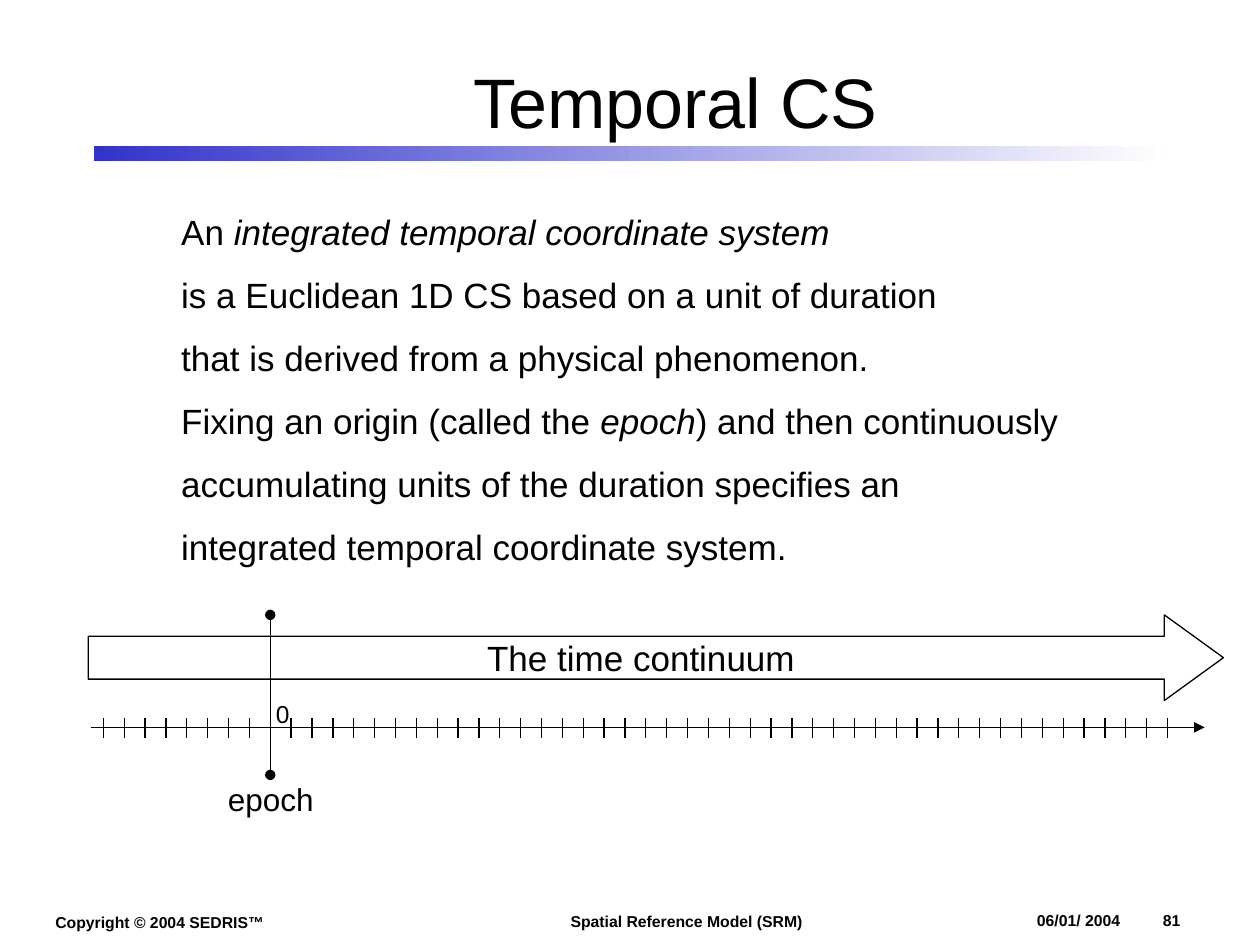
from dataclasses import dataclass

from lxml import etree
from pptx import Presentation
from pptx import util as u
from pptx.dml.color import RGBColor
from pptx.enum import shapes, text
from pptx.oxml.ns import qn

BLACK = RGBColor(0x00, 0x00, 0x00)
WHITE = RGBColor(0xFF, 0xFF, 0xFF)
BAR_BLUE = RGBColor(0x33, 0x33, 0xCC)
BAR_FADE = RGBColor(0xFE, 0xFE, 0xFE)
FONT = "Arial"

WIDTH, HEIGHT = u.Inches(10), u.Inches(7.5)
COL, ROW = WIDTH / 100, HEIGHT / 75
LINE_WIDTH = u.Pt(0.75)

EPOCH_COL = 21.45
AXIS_ROW = 57.73
TICK_TOP, TICK_BOTTOM = 57, 58.6
TICK_STEP = 1.656
TICKS_BEFORE, TICKS_AFTER = 8, 43


@dataclass
class Box:
    col: float
    row: float
    cols: float
    rows: float

    def emu(self) -> tuple:
        return (round(self.col * COL), round(self.row * ROW),
                round(self.cols * COL), round(self.rows * ROW))


@dataclass
class Label:
    box: Box
    lines: list
    size: float
    bold: bool = False
    space_after: float = 0


LABELS = [
    Label(Box(3.4, 71.95, 19.5, 2.5), ["Copyright © 2004 SEDRIS™"], 9, bold=True),
    Label(Box(44.3, 71.9, 20.4, 2.5), ["Spatial Reference Model (SRM)"], 9, bold=True),
    Label(Box(13.4, 16.2, 72.4, 29.4), [
        "An_ integrated temporal coordinate system_",
        "is a Euclidean 1D CS based on a unit of duration",
        "that is derived from a physical phenomenon.",
        "Fixing an origin (called the _epoch_) and then continuously",
        "accumulating units of the duration specifies an",
        "integrated temporal coordinate system.",
    ], 20, space_after=12),
    Label(Box(17.1, 61.4, 8.8, 4), ["epoch"], 18),
    Label(Box(20.9, 55, 3.1, 3.4), ["0"], 14),
]


def write(tf, lines: list, *, size: float, bold=False, align=text.PP_ALIGN.LEFT,
          anchor=text.MSO_ANCHOR.TOP, wrap=False, space_after=0, tabs=()) -> None:
    tf.word_wrap = wrap
    tf.vertical_anchor = anchor
    for i, line in enumerate(lines):
        p = tf.add_paragraph() if i else tf.paragraphs[0]
        p.alignment = align
        p.space_before = u.Pt(0)
        p.space_after = u.Pt(space_after)
        if tabs:
            tab_list = etree.SubElement(p._p.get_or_add_pPr(), qn("a:tabLst"))
            for inches, side in tabs:
                etree.SubElement(tab_list, qn("a:tab"), pos=str(u.Inches(inches)), algn=side)
        for n, part in enumerate(line.split("_")):
            if part:
                r = p.add_run()
                r.text = part
                r.font.name, r.font.size = FONT, u.Pt(size)
                r.font.bold, r.font.italic = bold, n % 2 == 1
                r.font.color.rgb = BLACK


def add_label(s, label: Label) -> None:
    tf = s.shapes.add_textbox(*label.box.emu()).text_frame
    write(tf, label.lines, size=label.size, bold=label.bold, space_after=label.space_after)
    tf.auto_size = text.MSO_AUTO_SIZE.SHAPE_TO_FIT_TEXT


def add_line(s, col1: float, row1: float, col2: float, row2: float, head="", tail="") -> None:
    c = s.shapes.add_connector(shapes.MSO_CONNECTOR.STRAIGHT, round(col1 * COL),
                               round(row1 * ROW), round(col2 * COL), round(row2 * ROW))
    c.line.color.rgb = BLACK
    c.line.width = LINE_WIDTH
    ln = c.line._get_or_add_ln()
    for tag, kind in (("a:headEnd", head), ("a:tailEnd", tail)):
        if kind:
            etree.SubElement(ln, qn(tag), type=kind)
    etree.SubElement(c._element.spPr, qn("a:effectLst"))


def add_shape(s, kind, box: Box):
    sp = s.shapes.add_shape(kind, *box.emu())
    sp.shadow.inherit = False
    return sp


def add_title_bar(s) -> None:
    bar = add_shape(s, shapes.MSO_SHAPE.RECTANGLE, Box(7.5, 11.6, 85, 1.2))
    bar.line.fill.background()
    bar.fill.gradient()
    bar.fill.gradient_angle = 180
    for stop, color in zip(bar.fill.gradient_stops, (BAR_FADE, BAR_BLUE)):
        stop.color.rgb = color


def add_title(s) -> None:
    title = s.shapes.title
    title.left, title.top, title.width, title.height = Box(12.1, 2.5, 83, 10.9).emu()
    write(title.text_frame, ["Temporal CS"], size=40, align=text.PP_ALIGN.CENTER,
          anchor=text.MSO_ANCHOR.MIDDLE, wrap=True)


def add_date_and_number(s) -> None:
    tf = s.shapes.add_textbox(*Box(82.3, 72.3, 14.4, 1.5).emu()).text_frame
    tf.margin_left = tf.margin_top = tf.margin_right = tf.margin_bottom = 0
    write(tf, ["06/01/ 2004\t\t81"], size=9, bold=True, wrap=True,
          anchor=text.MSO_ANCHOR.BOTTOM, tabs=((0.75, "r"), (1, "l")))


def add_continuum(s) -> None:
    arrow = add_shape(s, shapes.MSO_SHAPE.RIGHT_ARROW, Box(7, 48.8, 90.1, 6.8))
    arrow.adjustments[0], arrow.adjustments[1] = 0.5, 0.69
    arrow.fill.solid()
    arrow.fill.fore_color.rgb = WHITE
    arrow.line.color.rgb = BLACK
    arrow.line.width = LINE_WIDTH
    write(arrow.text_frame, ["The time continuum"], size=20,
          align=text.PP_ALIGN.CENTER, anchor=text.MSO_ANCHOR.MIDDLE)


def add_time_axis(s) -> None:
    add_line(s, EPOCH_COL, 48.8, EPOCH_COL, 61.5, head="oval", tail="oval")
    add_line(s, 7.2, AXIS_ROW, 95.6, AXIS_ROW, tail="triangle")
    for n in range(-TICKS_BEFORE, TICKS_AFTER + 1):
        col = EPOCH_COL + n * TICK_STEP
        add_line(s, col, TICK_TOP, col, TICK_BOTTOM)


def main() -> None:
    prs = Presentation()
    prs.slide_width, prs.slide_height = WIDTH, HEIGHT
    s = prs.slides.add_slide(prs.slide_layouts[5])
    add_title_bar(s)
    add_title(s)
    add_continuum(s)
    add_time_axis(s)
    for label in LABELS:
        add_label(s, label)
    add_date_and_number(s)
    prs.save("out.pptx")


if __name__ == "__main__":
    main()
